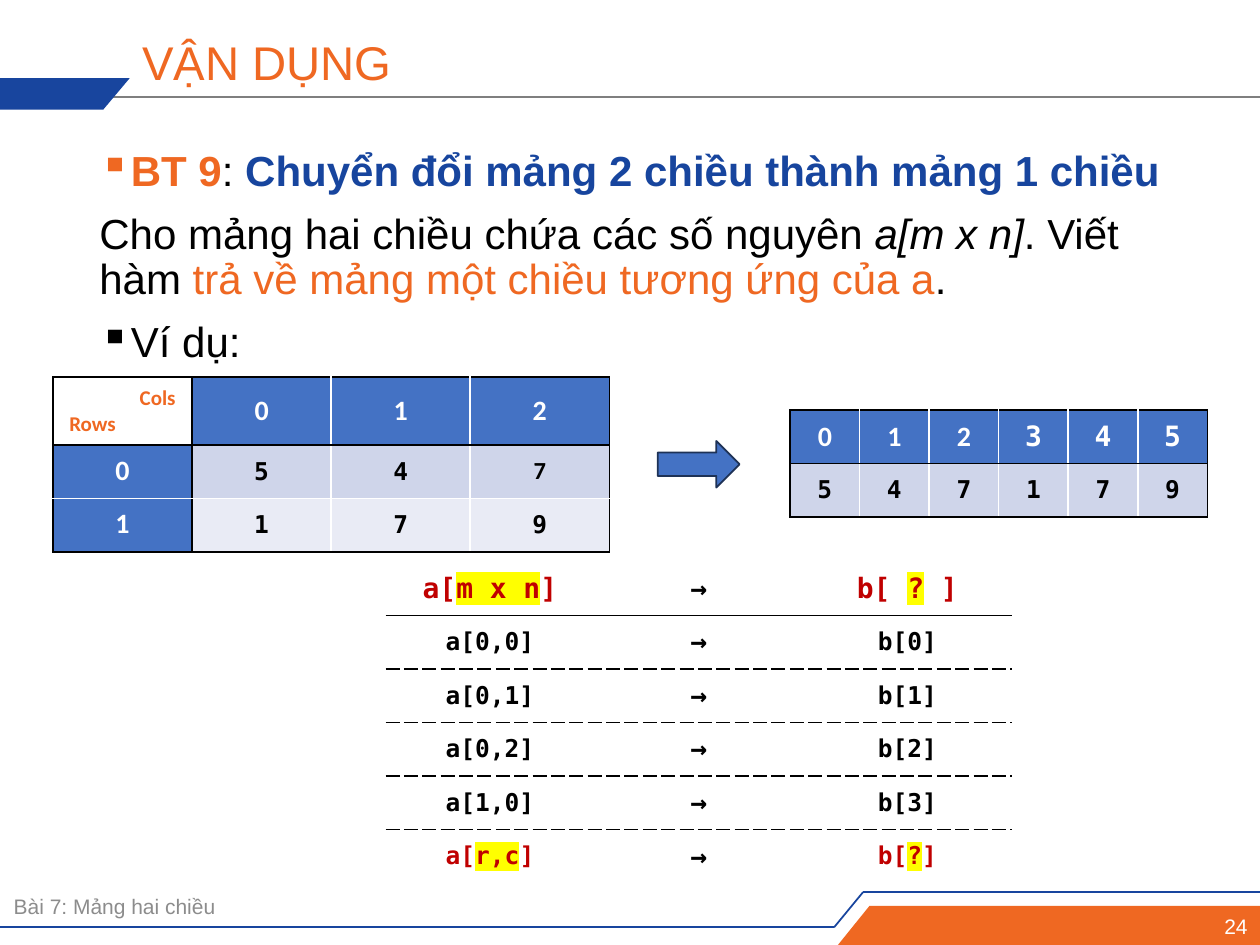
"""Builds the exercise slide on flattening a two-dimensional array."""
from lxml.etree import SubElement
from pptx import Presentation
from pptx.dml.color import RGBColor
from pptx.enum.shapes import MSO_CONNECTOR, MSO_SHAPE
from pptx.enum.text import MSO_ANCHOR, PP_ALIGN
from pptx.oxml.ns import qn
from pptx.util import Inches, Pt

UNIT = Inches(0.1)
COLORS = {
    "orange": "EF6822", "navy": "18459E", "heading": "17459E", "black": "000000",
    "white": "FFFFFF", "rule": "7F7F7F", "footer": "8C8C8C", "header": "4472C4",
    "band": "CFD5EA", "light": "E9EBF5", "outline": "1E3256", "red": "C00000",
    "mark": "FFFF00",
}
MONO = "DejaVu Sans Mono"
SOLID, DASHED, INNER = ("black", "solid"), ("black", "sysDash"), ("white", "solid")


def units(*values):
    """Convert grid units to slide lengths."""
    return [round(value * UNIT) for value in values]


def rgb(name):
    """Look up a colour by its name."""
    return RGBColor.from_string(COLORS[name])


def style(size, color="black", font="Arial", bold=False, italic=False, mark=None):
    """Describe the look of a run."""
    return {"size": size, "color": color, "font": font, "bold": bold,
            "italic": italic, "mark": mark}


def add_runs(paragraph, runs):
    """Append (text, style) runs to a paragraph."""
    for words, look in runs:
        run = paragraph.add_run()
        run.text = words
        run.font.size = Pt(look["size"])
        run.font.bold = look["bold"]
        run.font.italic = look["italic"]
        run.font.color.rgb = rgb(look["color"])
        if look["mark"]:
            highlight = SubElement(run.font._element, qn("a:highlight"))
            SubElement(highlight, qn("a:srgbClr"), val=COLORS[look["mark"]])
        run.font.name = look["font"]


def add_bullet(paragraph):
    """Give a paragraph a square bullet with a hanging indent."""
    properties = paragraph._p.get_or_add_pPr()
    properties.set("marL", str(Inches(0.25)))
    properties.set("indent", str(-Inches(0.25)))
    SubElement(properties, qn("a:buChar"), char="▪")


def add_text(slide, box, paragraphs, anchor=MSO_ANCHOR.MIDDLE, align=PP_ALIGN.LEFT):
    """Add a wrapped text box from (bulleted, runs) paragraphs."""
    frame = slide.shapes.add_textbox(*units(*box)).text_frame
    frame.word_wrap = True
    frame.vertical_anchor = anchor
    for index, (bulleted, runs) in enumerate(paragraphs):
        paragraph = frame.add_paragraph() if index else frame.paragraphs[0]
        if bulleted:
            add_bullet(paragraph)
        paragraph.alignment = align
        if len(paragraphs) > 1:
            paragraph.line_spacing = 0.9
            paragraph.space_before = Pt(10 if index else 0)
        add_runs(paragraph, runs)


def add_path(slide, points, color):
    """Join consecutive points with straight lines."""
    for start, end in zip(points, points[1:]):
        line = slide.shapes.add_connector(MSO_CONNECTOR.STRAIGHT, *units(*start, *end))
        line.line.color.rgb = rgb(color)
        line.line.width = Pt(1)
        SubElement(line._element.spPr, qn("a:effectLst"))


def add_polygon(slide, points, color):
    """Add a filled polygon without an outline."""
    corners = [units(*point) for point in points]
    builder = slide.shapes.build_freeform(*corners[0])
    builder.add_line_segments(corners[1:], close=True)
    polygon = builder.convert_to_shape()
    polygon.shadow.inherit = False
    polygon.fill.solid()
    polygon.fill.fore_color.rgb = rgb(color)
    polygon.line.fill.background()


def set_borders(cell, edges):
    """Draw the left, right, top and bottom edges of a cell."""
    properties = cell._tc.get_or_add_tcPr()
    for side, edge in zip("LRTB", edges):
        line = SubElement(properties, qn(f"a:ln{side}"), w=str(Pt(1)))
        if edge is None:
            SubElement(line, qn("a:noFill"))
            continue
        color, dash = edge
        SubElement(SubElement(line, qn("a:solidFill")), qn("a:srgbClr"), val=COLORS[color])
        SubElement(line, qn("a:prstDash"), val=dash)


def add_grid(slide, corner, column_width, heights, cells, fills, verticals, horizontals):
    """Add a table whose edges are listed per column and row boundary."""
    columns = len(cells[0])
    box = units(*corner, column_width * columns, sum(heights))
    grid = slide.shapes.add_table(len(cells), columns, *box).table
    grid.first_row = grid.horz_banding = False
    for column in grid.columns:
        column.width = units(column_width)[0]
    for r, height in enumerate(heights):
        grid.rows[r].height = units(height)[0]
        for c, runs in enumerate(cells[r]):
            cell = grid.cell(r, c)
            cell.margin_left = cell.margin_right = Inches(0.13)
            cell.margin_top = cell.margin_bottom = Inches(0.07)
            cell.vertical_anchor = MSO_ANCHOR.MIDDLE
            set_borders(cell, verticals[c:c + 2] + horizontals[r:r + 2])
            if fills[r][c]:
                cell.fill.solid()
                cell.fill.fore_color.rgb = rgb(fills[r][c])
            else:
                cell.fill.background()
            cell.text_frame.paragraphs[0].alignment = PP_ALIGN.CENTER
            add_runs(cell.text_frame.paragraphs[0], runs)
    return grid


def add_matrix(slide):
    """Add the two-dimensional array with its row and column numbers."""
    label, value = style(16, "white", "Calibri", True), style(14, font=MONO, bold=True)
    corner = style(12, "orange", "Calibri", True)
    cells = [[[("Cols", corner)]] + [[(n, label)] for n in "012"]]
    cells += [[[(row[0], label)]] + [[(n, value)] for n in row[1:]] for row in ("0547", "1179")]
    cells[1][3] = [("7", style(14, font="Calibri", bold=True))]
    fills = [[None] + ["header"] * 3] + [["header"] + [f] * 3 for f in ("band", "light")]
    grid = add_grid(slide, (4.2, 29.9), 11.04, [5.4, 4.25, 4.25], cells, fills,
                    [SOLID, SOLID, INNER, INNER, SOLID], [SOLID, SOLID, INNER, SOLID])
    frame = grid.cell(0, 0).text_frame
    frame.paragraphs[0].alignment = PP_ALIGN.RIGHT
    add_runs(frame.add_paragraph(), [("Rows", corner)])
    for r in (1, 2):
        grid.cell(r, 0).vertical_anchor = MSO_ANCHOR.TOP


def add_vector(slide):
    """Add the resulting one-dimensional array."""
    cells = [[[(n, style(16, "white", "Calibri" if n in "012" else MONO, True))] for n in "012345"],
             [[(n, style(14, font=MONO, bold=True))] for n in "547179"]]
    add_grid(slide, (62.7, 32.55), 5.52, [4.25] * 2, cells, [["header"] * 6, ["band"] * 6],
             [SOLID] + [INNER] * 5 + [SOLID], [SOLID] * 3)


def marked(before, hidden, after, size):
    """Make red code with its middle part highlighted."""
    plain = style(size, "red", MONO, True)
    return [(before, plain), (hidden, {**plain, "mark": "mark"}), (after, plain)]


def add_mapping(slide):
    """Add the table that maps matrix elements to vector elements."""
    arrow = [("→", style(16, font=MONO, bold=True))]
    value = style(14, font=MONO, bold=True)
    cells = [[marked("a[", "m x n", "]", 16), arrow, marked("b[ ", "?", " ]", 16)]]
    for index, place in enumerate(("0,0", "0,1", "0,2", "1,0")):
        cells.append([[(f"a[{place}]", value)], arrow, [(f"b[{index}]", value)]])
    cells.append([marked("a[", "r,c", "]", 14), arrow, marked("b[", "?", "]", 14)])
    add_grid(slide, (30.6, 44.6), 16.57, [4.25] * 6, cells, [[None] * 3] * 6,
             [None] * 4, [None, SOLID] + [DASHED] * 4 + [None])


def main():
    """Build and save the slide."""
    deck = Presentation()
    deck.slide_width, deck.slide_height = units(100, 75)
    slide = deck.slides.add_slide(deck.slide_layouts[5])
    add_path(slide, [(7.2, 7.7), (100, 7.7)], "rule")
    add_polygon(slide, [(0, 6.2), (10.3, 6.2), (8.2, 8.7), (0, 8.7)], "navy")
    add_path(slide, [(0, 73.6), (66.2, 73.6), (68.5, 70.8), (100, 70.8)], "navy")
    add_polygon(slide, [(69, 71.9), (100, 71.9), (100, 75), (66.5, 75)], "orange")

    title = slide.shapes.title
    title.left, title.top, title.width, title.height = units(10.3, 2.5, 82.8, 5.3)
    title.text_frame.vertical_anchor = MSO_ANCHOR.MIDDLE
    heading = title.text_frame.paragraphs[0]
    heading.alignment = PP_ALIGN.LEFT
    heading.line_spacing = 0.9
    add_runs(heading, [("VẬN DỤNG", style(27, "orange"))])

    body, accent = style(24), style(24, "orange")
    add_text(slide, (6.9, 11.4, 86.2, 56.1), [
        (True, [("BT 9", style(24, "orange", bold=True)), (": ", body),
                ("Chuyển đổi mảng 2 chiều thành mảng 1 chiều", style(24, "heading", bold=True))]),
        (False, [("Cho mảng hai chiều chứa các số nguyên ", body),
                 ("a[m x n]", style(24, italic=True)), (". Viết hàm ", body),
                 ("trả về mảng một chiều tương ứng của a", accent), (".", body)]),
        (True, [("Ví dụ:", body)]),
    ], MSO_ANCHOR.TOP)
    add_text(slide, (0.1, 70.4, 65.9, 3.1), [(False, [("Bài 7: Mảng hai chiều", style(12, "footer"))])])
    add_text(slide, (79.1, 72.1, 20.9, 2.8), [(False, [("24", style(12, "white"))])],
             align=PP_ALIGN.RIGHT)

    add_matrix(slide)
    add_vector(slide)
    conversion = slide.shapes.add_shape(MSO_SHAPE.RIGHT_ARROW, *units(52.2, 35, 6.5, 3.7))
    conversion.shadow.inherit = False
    conversion.fill.solid()
    conversion.fill.fore_color.rgb = rgb("header")
    conversion.line.color.rgb = rgb("outline")
    conversion.line.width = Pt(1)
    add_mapping(slide)
    deck.save("out.pptx")


if __name__ == "__main__":
    main()
